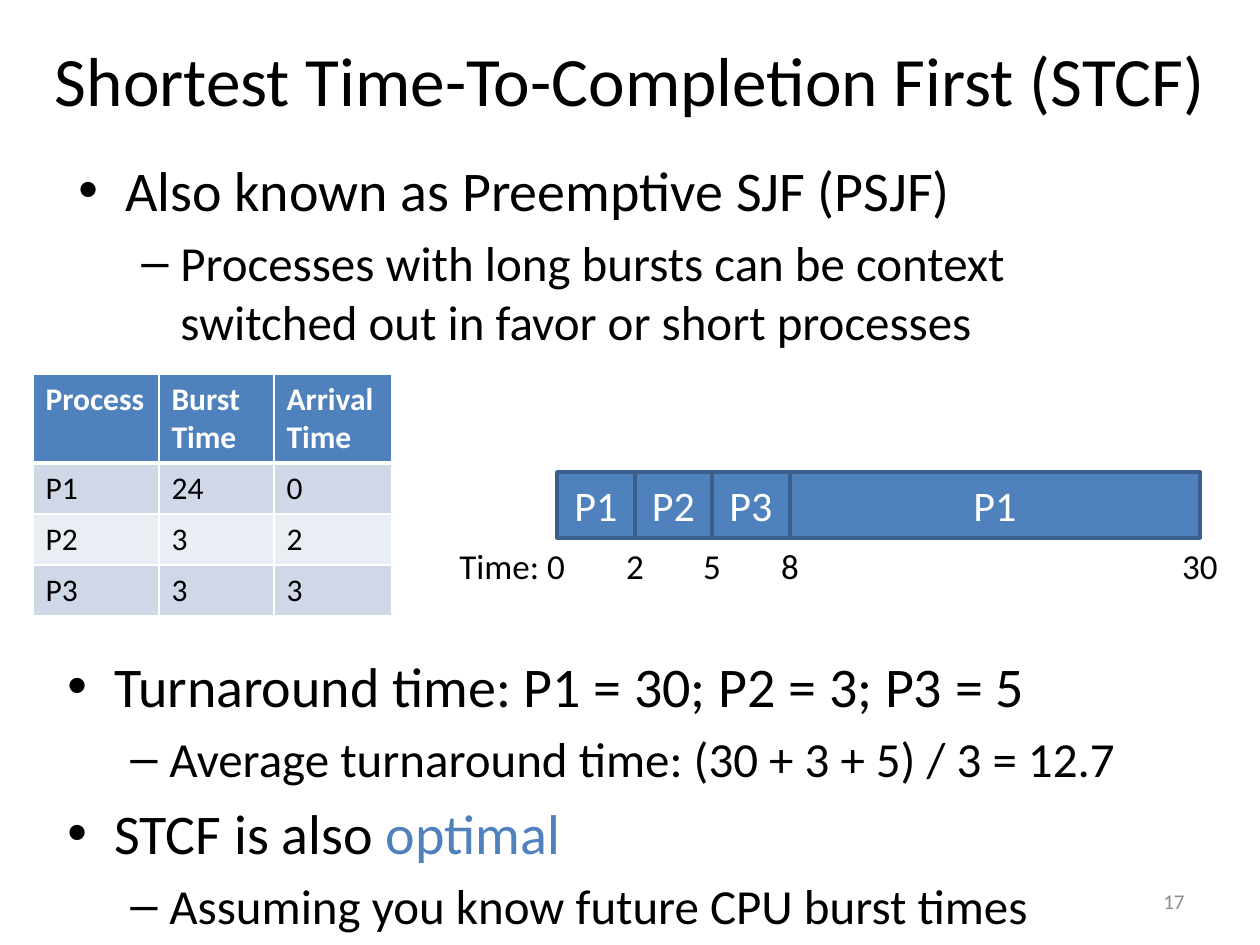
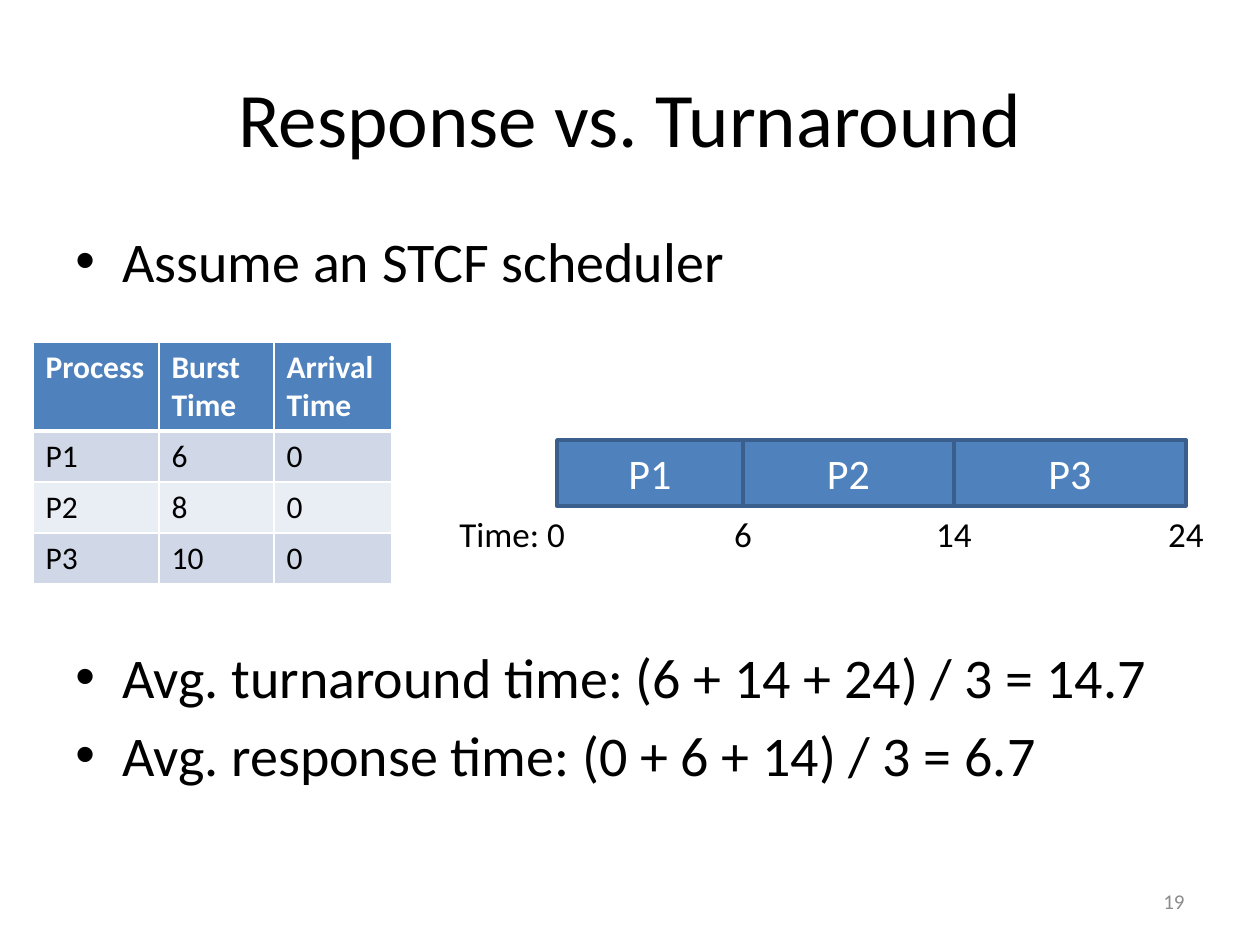
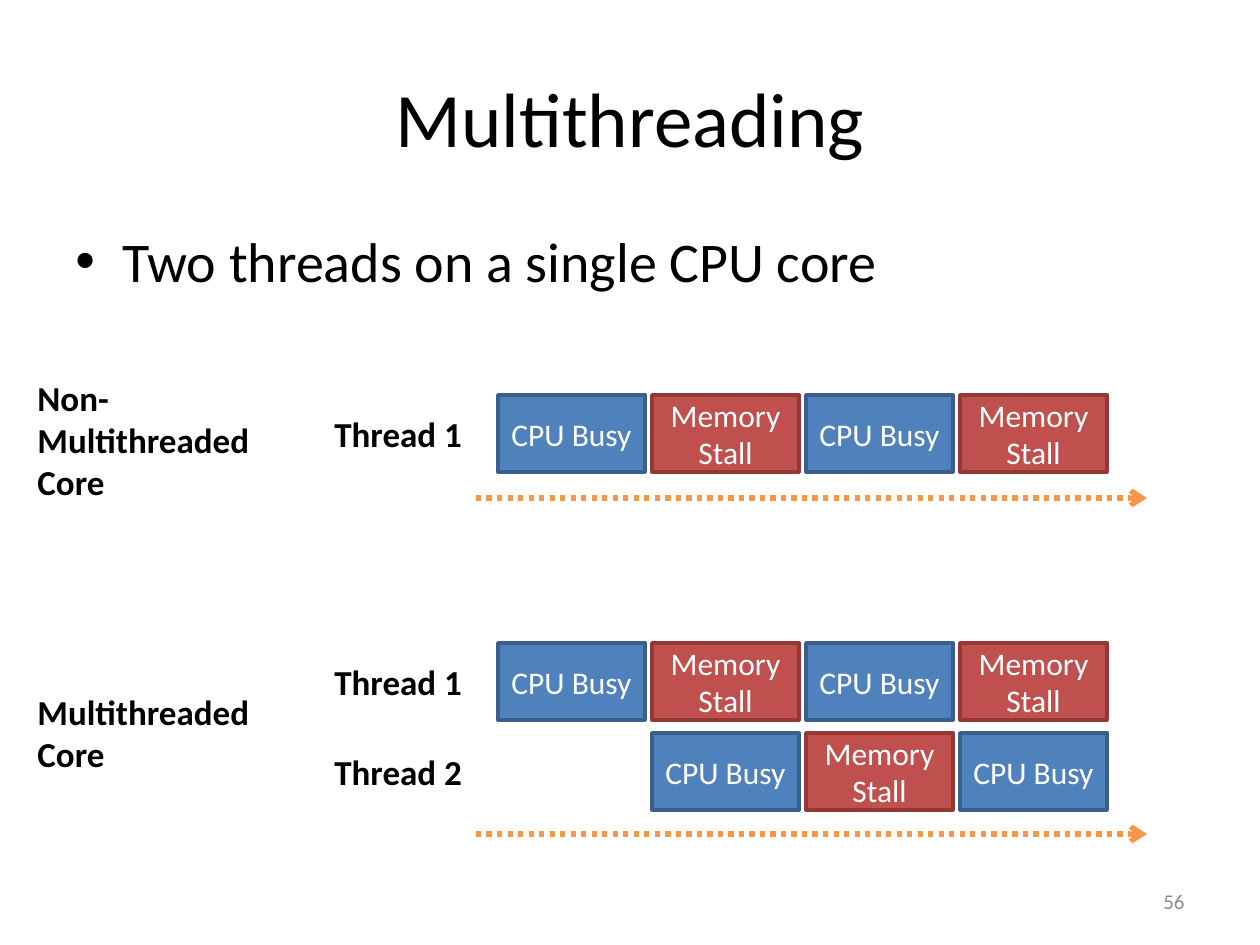
from pptx import Presentation, util as u
from pptx.dml.color import RGBColor
from pptx.enum import dml, shapes, text
from pptx.oxml import xmlchemy

PX_PER_INCH = 126
FONT = "Calibri"
BLACK, WHITE, GRAY = "000000", "FFFFFF", "8C8C8C"
BLUE, DARK_BLUE = "4F81BD", "3A5F8C"
RED, DARK_RED = "C0504D", "953735"
ORANGE = "F79646"
BANDS = ("E9EDF4", "D0D8E8")
BULLETS = (("•", 47, -47, 32), ("–", 102, -39, 28))
TITLE_BOX = (63, 38, 1134, 158)
BAR_HEIGHT = 66
BLOCKS = {"CPU Busy": (BLUE, DARK_BLUE), "Memory Stall": (RED, DARK_RED)}


def px(length):
    """Turn a pixel length into EMU."""
    return u.Emu(round(length * u.Inches(1) / PX_PER_INCH))


def color(hex_code):
    """Turn a hex string into a colour."""
    return RGBColor.from_string(hex_code)


def add_xml(parent, tag, **attributes):
    """Append a drawing element with attributes and return it."""
    element = xmlchemy.OxmlElement(f"a:{tag}")
    for key, value in attributes.items():
        element.set(key, str(value))
    parent.append(element)
    return element


def add_run(paragraph, words, size, hex_code=BLACK, bold=False):
    """Add one formatted run."""
    run = paragraph.add_run()
    run.text = words
    run.font.name = FONT
    run.font.size = u.Pt(size)
    run.font.bold = bold
    run.font.color.rgb = color(hex_code)


def paragraphs(frame, count):
    """Yield the first paragraph of a frame and add the others."""
    for index in range(count):
        yield frame.add_paragraph() if index else frame.paragraphs[0]


def add_slide(deck, heading, number, box=TITLE_BOX, size=44):
    """Add a slide with its title and page number."""
    slide = deck.slides.add_slide(deck.slide_layouts[5])
    title = slide.shapes.title
    title.left, title.top, title.width, title.height = map(px, box)
    frame = title.text_frame
    frame.auto_size = text.MSO_AUTO_SIZE.NONE
    frame.vertical_anchor = text.MSO_ANCHOR.MIDDLE
    frame.paragraphs[0].alignment = text.PP_ALIGN.CENTER
    add_run(frame.paragraphs[0], heading, size)
    add_label(slide, (903, 876, 294, 50), [number], 12, GRAY,
              align=text.PP_ALIGN.RIGHT, anchor=text.MSO_ANCHOR.MIDDLE, wrap=True)
    return slide


def add_label(slide, box, lines, size=20, hex_code=BLACK, bold=False,
              align=text.PP_ALIGN.LEFT, anchor=text.MSO_ANCHOR.TOP, wrap=False):
    """Add a text box with one paragraph per line."""
    frame = slide.shapes.add_textbox(*map(px, box)).text_frame
    frame.word_wrap = wrap
    frame.vertical_anchor = anchor
    for paragraph, line in zip(paragraphs(frame, len(lines)), lines):
        paragraph.alignment = align
        add_run(paragraph, line, size, hex_code, bold)


def add_bullets(slide, box, items):
    """Add a bullet list from (level, runs) items."""
    frame = slide.shapes.add_textbox(*map(px, box)).text_frame
    frame.word_wrap = True
    for index, paragraph in enumerate(paragraphs(frame, len(items))):
        level, runs = items[index]
        mark, margin, indent, size = BULLETS[level]
        paragraph.level = level
        properties = paragraph._p.get_or_add_pPr()
        properties.set("marL", str(px(margin)))
        properties.set("indent", str(px(indent)))
        add_xml(properties, "buFont", typeface="Arial")
        add_xml(properties, "buChar", char=mark)
        if index:
            paragraph.space_before = u.Pt(size / 5)
        for words, hex_code in runs:
            add_run(paragraph, words, size, hex_code)


def add_block(slide, box, words, size, fill=BLUE, outline=DARK_BLUE):
    """Add a filled rectangle with centred white text."""
    block = slide.shapes.add_shape(shapes.MSO_SHAPE.RECTANGLE, *map(px, box))
    block.shadow.inherit = False
    block.fill.solid()
    block.fill.fore_color.rgb = color(fill)
    block.line.color.rgb = color(outline)
    block.line.width = u.Pt(2)
    frame = block.text_frame
    frame.word_wrap = True
    frame.vertical_anchor = text.MSO_ANCHOR.MIDDLE
    frame.paragraphs[0].alignment = text.PP_ALIGN.CENTER
    add_run(frame.paragraphs[0], words, size, WHITE)


def add_borders(cell, bottom):
    """Draw white borders around a cell."""
    properties = cell._tc.get_or_add_tcPr()
    for side, points in (("L", 1), ("R", 1), ("T", 1), ("B", bottom)):
        border = add_xml(properties, f"ln{side}", w=u.Pt(points))
        add_xml(add_xml(border, "solidFill"), "srgbClr", val=WHITE)


def add_process_table(slide, top, processes):
    """Add the table of burst and arrival times."""
    rows = [("Process", "Burst Time", "Arrival Time"), *processes]
    widths = (126, 115, 118)
    heights = [89] + [51] * len(processes)
    table = slide.shapes.add_table(len(rows), len(widths), px(33), px(top),
                                   px(sum(widths)), px(sum(heights))).table
    for column, width in zip(table.columns, widths):
        column.width = px(width)
    for row_index, values in enumerate(rows):
        header = row_index == 0
        table.rows[row_index].height = px(heights[row_index])
        for column_index, value in enumerate(values):
            cell = table.cell(row_index, column_index)
            add_borders(cell, 3 if header else 1)
            cell.fill.solid()
            cell.fill.fore_color.rgb = color(BLUE if header else BANDS[row_index % 2])
            add_run(cell.text_frame.paragraphs[0], value, 18,
                    WHITE if header else BLACK, header)


def add_timeline(slide, top, bursts, start=557):
    """Add process bars from (name, right edge, end time) bursts."""
    label_top = top + BAR_HEIGHT
    add_label(slide, (447, label_top, 132, 55), ["Time: 0"])
    for name, end, time in bursts:
        add_block(slide, (start, top, end - start, BAR_HEIGHT), name, 24)
        add_label(slide, (end - 31, label_top, 62, 55), [time],
                  align=text.PP_ALIGN.CENTER)
        start = end


def add_thread(slide, top, name, first_column, states):
    """Add a thread label and its row of states."""
    add_label(slide, (322, top + 11, 154, 55), [name], bold=True)
    for column, state in enumerate(states, first_column):
        add_block(slide, (498 + column * 154, top, 147, 77), state, 18, *BLOCKS[state])


def add_time_arrow(slide, y):
    """Add a dotted arrow that shows the passing of time."""
    arrow = slide.shapes.add_connector(shapes.MSO_CONNECTOR.STRAIGHT,
                                       px(476), px(y), px(1147), px(y))
    arrow.line.color.rgb = color(ORANGE)
    arrow.line.width = u.Pt(3)
    arrow.line.dash_style = dml.MSO_LINE.ROUND_DOT
    add_xml(arrow.line._get_or_add_ln(), "tailEnd", type="arrow")
    add_xml(arrow._element.spPr, "effectLst")


def build_stcf(deck):
    """Build the slide on shortest time-to-completion first."""
    slide = add_slide(deck, "Shortest Time-To-Completion First (STCF)", "17",
                      (0, 0, 1260, 158), 39.6)
    add_bullets(slide, (66, 149, 1134, 238), [
        (0, [("Also known as Preemptive SJF (PSJF)", BLACK)]),
        (1, [("Processes with long bursts can be context switched out "
              "in favor or short processes", BLACK)]),
    ])
    add_process_table(slide, 374, [("P1", "24", "0"), ("P2", "3", "2"), ("P3", "3", "3")])
    add_timeline(slide, 472, [("P1", 635, "2"), ("P2", 712, "5"),
                              ("P3", 790, "8"), ("P1", 1200, "30")])
    add_bullets(slide, (55, 645, 1134, 294), [
        (0, [("Turnaround time: P1 = 30; P2 = 3; P3 = 5", BLACK)]),
        (1, [("Average turnaround time: (30 + 3 + 5) / 3 = 12.7", BLACK)]),
        (0, [("STCF is also ", BLACK), ("optimal", BLUE)]),
        (1, [("Assuming you know future CPU burst times", BLACK)]),
    ])


def build_response(deck):
    """Build the slide that compares response and turnaround."""
    slide = add_slide(deck, "Response vs. Turnaround", "19")
    add_bullets(slide, (63, 220, 1134, 95), [(0, [("Assume an STCF scheduler", BLACK)])])
    add_process_table(slide, 342, [("P1", "6", "0"), ("P2", "8", "0"), ("P3", "10", "0")])
    add_timeline(slide, 440, [("P1", 743, "6"), ("P2", 954, "14"), ("P3", 1186, "24")])
    add_bullets(slide, (63, 636, 1192, 214), [
        (0, [("Avg. turnaround time: (6 + 14 + 24) / 3 = 14.7", BLACK)]),
        (0, [("Avg. response time: (0 + 6 + 14) / 3 = 6.7", BLACK)]),
    ])


def build_multithreading(deck):
    """Build the slide on multithreading."""
    slide = add_slide(deck, "Multithreading", "56")
    add_bullets(slide, (63, 220, 1134, 101),
                [(0, [("Two threads on a single CPU core", BLACK)])])
    add_label(slide, (25, 370, 248, 140), ["Non-", "Multithreaded", "Core"], bold=True)
    add_label(slide, (25, 684, 248, 97), ["Multithreaded", "Core"], bold=True)
    busy, stall = BLOCKS
    add_thread(slide, 395, "Thread 1", 0, [busy, stall] * 2)
    add_time_arrow(slide, 498)
    add_thread(slide, 643, "Thread 1", 0, [busy, stall] * 2)
    add_thread(slide, 733, "Thread 2", 1, [busy, stall, busy])
    add_time_arrow(slide, 834)


def main():
    """Build and save the deck."""
    deck = Presentation()
    deck.slide_width, deck.slide_height = px(1260), px(945)
    build_stcf(deck)
    build_response(deck)
    build_multithreading(deck)
    deck.save("out.pptx")


if __name__ == "__main__":
    main()
